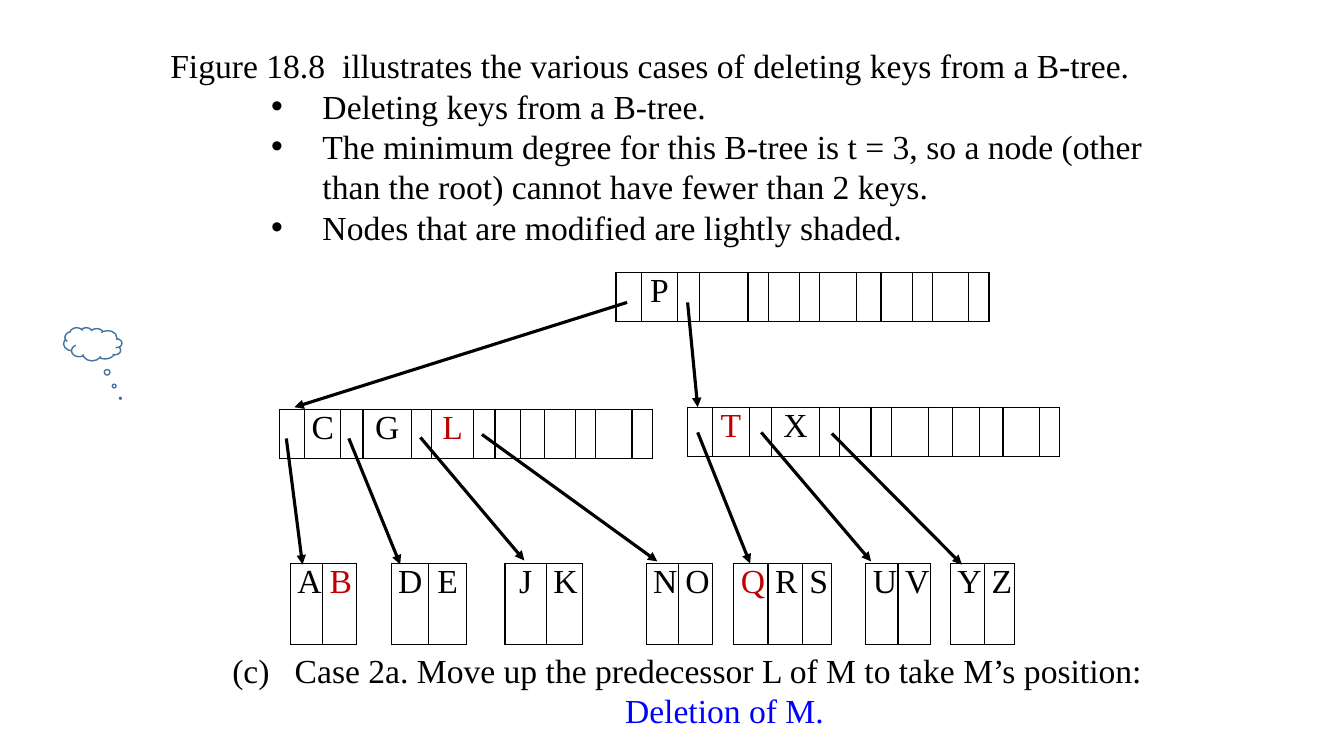
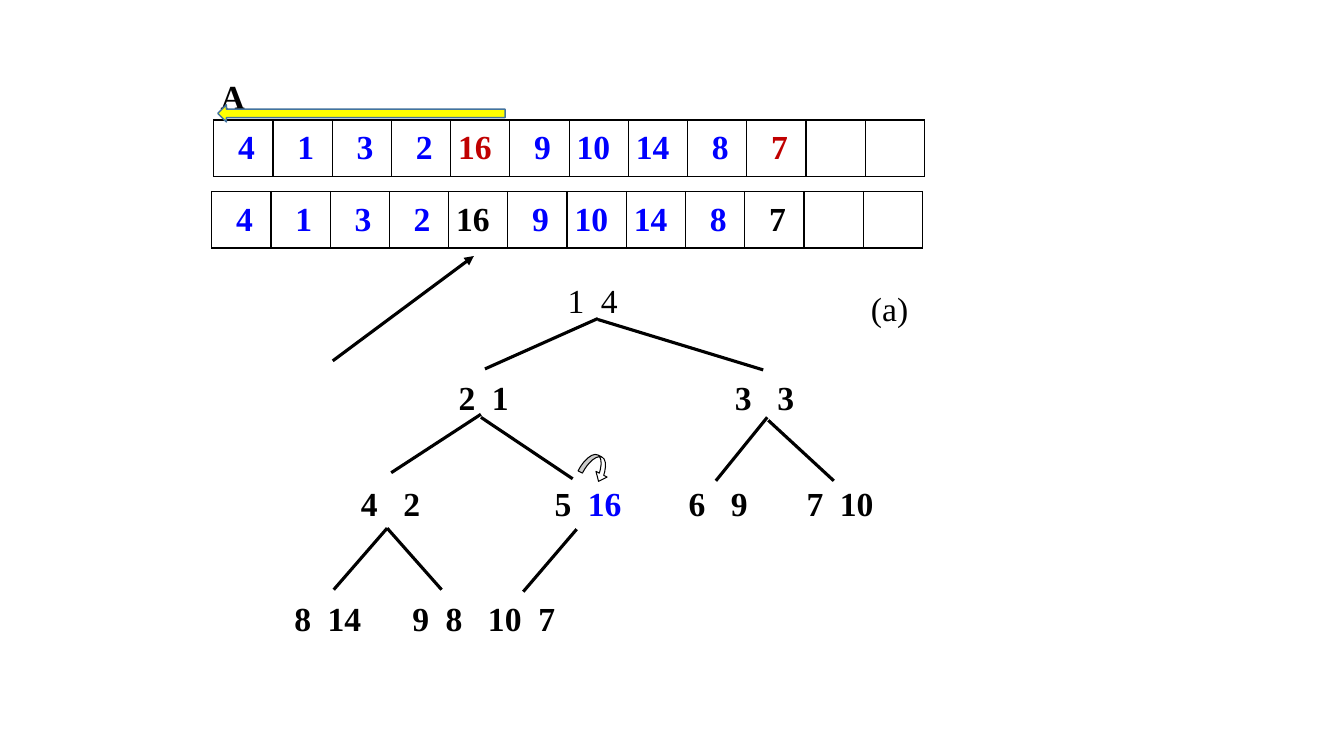
from pptx import Presentation
from pptx.dml.color import RGBColor
from pptx.enum.shapes import MSO_CONNECTOR, MSO_SHAPE
from pptx.enum.text import MSO_ANCHOR, PP_ALIGN
from pptx.oxml import parse_xml
from pptx.oxml.ns import nsdecls
from pptx.util import Inches, Pt

# The slide is a grid of square cells, 13.33 columns by 7.5 rows.
COLS, ROWS = 13.33, 7.5
FONT, SIZE = "Times New Roman", 24
BLACK, WHITE, RED, BLUE = "000000", "FFFFFF", "C00000", "0000FF"
YELLOW, OUTLINE = "FFFF00", "43739E"
LEFT, CENTER, RIGHT = PP_ALIGN.LEFT, PP_ALIGN.CENTER, PP_ALIGN.RIGHT

MODIFIED_KEYS = "LTBQ"
# Widths alternate: pointer, key, pointer, key, ...
NODE_START = [0.25, 0.36, 0.22, 0.48, 0.2]
NODES = [  # x, y, keys, remaining widths
    (2.77, 4.06, "CGL", [0.42, 0.21, 0.25, 0.24, 0.31, 0.2, 0.36, 0.2]),
    (6.11, 2.7, "P", [0.31, 0.2, 0.37, 0.24, 0.31, 0.2, 0.36, 0.2]),
    (6.82, 4.04, "TX", [0.31, 0.2, 0.37, 0.24, 0.27, 0.23, 0.36, 0.2]),
]
LEAVES = "AB DE JK  NO QRS UV YZ"  # a space is a gap between leaves
LEAF_WIDTHS = [0.32, 0.34, 0.34, 0.37, 0.38, 0.38, 0.41, 0.36, 0.4, 0.23, 0.32,
               0.34, 0.21, 0.34, 0.34, 0.29, 0.34, 0.32, 0.32, 0.2, 0.34, 0.3]
POINTERS = [
    (6.22, 3, 2.92, 4.04), (6.82, 3, 6.92, 4.04),
    (2.84, 4.35, 3, 5.6), (3.46, 4.35, 3.97, 5.6),
    (4.17, 4.34, 5.2, 5.56), (4.78, 4.31, 6.52, 5.57),
    (6.92, 4.29, 7.44, 5.59), (7.55, 4.29, 8.64, 5.57), (8.25, 4.3, 9.54, 5.6),
]

ARRAY = [4, 1, 3, 2, 16, 9, 10, 14, 8, 7]
ARRAY_CELLS, ARRAY_WIDTH = 12, 7.05
LEVELS = [2.73, 3.69, 4.74, 5.88]
HEAP = [  # x, level, gap between index and key; ordered by index
    (5.63, 0, 0.33),
    (4.55, 1, 0.33), (7.29, 1, 0.42),
    (3.58, 2, 0.42), (5.5, 2, 0.33), (6.83, 2, 0.42), (8, 2, 0.33),
    (2.92, 3, 0.33), (4.09, 3, 0.33), (4.84, 3, 0.5),
]
EDGES = [
    (5.93, 3.16, 4.81, 3.66), (5.93, 3.17, 7.57, 3.67),
    (4.77, 4.11, 3.88, 4.69), (4.77, 4.14, 5.68, 4.75),
    (7.61, 4.14, 7.1, 4.77), (7.62, 4.17, 8.27, 4.77),
    (3.84, 5.24, 3.31, 5.85), (3.84, 5.24, 4.38, 5.85), (5.72, 5.25, 5.19, 5.87),
]


def rgb(color):
    return RGBColor.from_string(color)


def grid(*values):
    return [Inches(v) for v in values]


def add_run(p, text, color=BLACK, bold=False):
    r = p.add_run()
    r.text = text
    r.font.name, r.font.size, r.font.bold = FONT, Pt(SIZE), bold
    r.font.color.rgb = rgb(color)


def add_text(s, x, y, w, h, inset=0.1):
    tf = s.shapes.add_textbox(*grid(x, y, w, h)).text_frame
    tf.word_wrap = True
    tf.margin_left = tf.margin_right = Inches(inset)
    return tf


def indent(p, left, first=0):
    """Set the left indent; a negative first line makes room for a bullet."""
    pPr = p._p.get_or_add_pPr()
    pPr.set("marL", str(Inches(left)))
    pPr.set("indent", str(Inches(first)))
    if first:
        pPr.append(parse_xml(f'<a:buFont {nsdecls("a")} typeface="Arial"/>'))
        pPr.append(parse_xml(f'<a:buChar {nsdecls("a")} char="•"/>'))


def add_line(s, x1, y1, x2, y2, arrow=False):
    line = s.shapes.add_connector(MSO_CONNECTOR.STRAIGHT, *grid(x1, y1, x2, y2))
    line.line.color.rgb = rgb(BLACK)
    line.line.width = Pt(2.25)
    if arrow:
        line.line._get_or_add_ln().append(
            parse_xml(f'<a:tailEnd {nsdecls("a")} type="triangle"/>'))
    line._element.spPr.append(parse_xml(f'<a:effectLst {nsdecls("a")}/>'))


def add_preset(s, kind, x, y, w, h, fill, line, width=1, adjust=()):
    sp = s.shapes.add_shape(kind, *grid(x, y, w, h))
    sp.shadow.inherit = False
    sp.fill.solid()
    sp.fill.fore_color.rgb = rgb(fill)
    sp.line.color.rgb = rgb(line)
    sp.line.width = Pt(width)
    for i, value in enumerate(adjust):
        sp.adjustments[i] = value
    return sp


def set_borders(cell, **colors):
    """Draw the sides L, R, T and B, black unless another colour is given."""
    tcPr = cell._tc.get_or_add_tcPr()
    for i, side in enumerate("LRTB"):
        tcPr.insert(i, parse_xml(
            f'<a:ln{side} {nsdecls("a")} w="{Pt(1)}"><a:solidFill>'
            f'<a:srgbClr val="{colors.get(side, BLACK)}"/></a:solidFill></a:ln{side}>'))


def add_row(s, x, y, widths, height, cells, align=CENTER, bold=False,
            right=0.07, anchor=MSO_ANCHOR.TOP):
    """Add a one-row table of (text, colour) cells; a text of None is a gap."""
    frame = s.shapes.add_table(1, len(widths), *grid(x, y, sum(widths), height))
    table = frame.table
    table.first_row = table.horz_banding = False
    for i, (width, (text, color)) in enumerate(zip(widths, cells)):
        table.columns[i].width = Inches(width)
        cell = table.cell(0, i)
        cell.margin_left, cell.margin_right = grid(0.07, right)
        cell.margin_top = cell.margin_bottom = 0
        cell.vertical_anchor = anchor
        cell.fill.solid()
        cell.fill.fore_color.rgb = rgb(WHITE)
        sides = {}
        if text is None:
            sides = {"T": WHITE, "B": WHITE}
            if cells[i - 1][0] is None:
                sides["L"] = WHITE
            if cells[i + 1][0] is None:
                sides["R"] = WHITE
        set_borders(cell, **sides)
        if text:
            p = cell.text_frame.paragraphs[0]
            p.alignment = align
            add_run(p, text, color, bold)


def key_cell(key):
    return (key, RED if key in MODIFIED_KEYS else BLACK)


def add_btree_node(s, x, y, keys, rest):
    widths = NODE_START + rest
    cells = [("", BLACK)] * len(widths)
    for i, key in enumerate(keys):
        cells[2 * i + 1] = key_cell(key)
    add_row(s, x, y, widths, 0.49, cells)


def add_array(s, x, y, accents):
    """Add the array row; accents gives a colour for some of the values."""
    cells = [(str(v), accents.get(v, BLUE)) for v in ARRAY]
    cells += [("", BLACK)] * (ARRAY_CELLS - len(ARRAY))
    add_row(s, x, y, [ARRAY_WIDTH / ARRAY_CELLS] * ARRAY_CELLS, 0.56, cells,
            RIGHT, True, 0.18, MSO_ANCHOR.MIDDLE)


def add_heap_node(s, x, level, gap, index, key):
    tf = add_text(s, x, LEVELS[level], 0.9, 0.5, inset=0)
    p = tf.paragraphs[0]
    p._p.get_or_add_pPr().append(parse_xml(
        f'<a:tabLst {nsdecls("a")}><a:tab pos="{Inches(gap)}" algn="l"/></a:tabLst>'))
    bold = level > 0
    add_run(p, f"{index}\t", bold=bold)
    add_run(p, str(key), BLUE if key == max(ARRAY) else BLACK, bold)


def btree_slide(prs):
    s = prs.slides.add_slide(prs.slide_layouts[6])
    tf = add_text(s, 1.59, 0.4, 10.45, 2.1)
    add_run(tf.paragraphs[0], "Figure 18.8  illustrates the various cases of "
                              "deleting keys from a B-tree.")
    for text in ("Deleting keys from a B-tree.",
                 "The minimum degree for this B-tree is t = 3, so a node "
                 "(other than the root) cannot have fewer than 2 keys.",
                 "Nodes that are modified are lightly shaded."):
        p = tf.add_paragraph()
        indent(p, 1.51, -0.51)
        add_run(p, text)

    caption = add_text(s, 1.59, 6.4, 10.45, 0.9)
    p = caption.paragraphs[0]
    p.alignment = CENTER
    add_run(p, "(c)   Case 2a. Move up the predecessor L of M to take M’s position:")
    p = caption.add_paragraph()
    p.alignment = CENTER
    indent(p, 0.74)
    add_run(p, "Deletion of M.", BLUE)

    for node in NODES:
        add_btree_node(s, *node)
    leaves = [(None, BLACK) if key == " " else key_cell(key) for key in LEAVES]
    add_row(s, 2.88, 5.59, LEAF_WIDTHS, 0.8, leaves)
    for pointer in POINTERS:
        add_line(s, *pointer, arrow=True)
    cloud = add_preset(s, MSO_SHAPE.CLOUD_CALLOUT, 0.63, 3.25, 0.58, 0.33,
                       WHITE, OUTLINE, adjust=(-0.473, 1.625))
    cloud._element.spPr.xfrm.set("flipH", "1")


def heap_slide(prs):
    s = prs.slides.add_slide(prs.slide_layouts[6])
    for edge in EDGES:
        add_line(s, *edge)
    for i, (node, key) in enumerate(zip(HEAP, ARRAY)):
        add_heap_node(s, *node, i + 1, key)
    add_run(add_text(s, 8.54, 2.81, 0.59, 0.5).paragraphs[0], "(a)")
    turn = add_preset(s, MSO_SHAPE.CURVED_LEFT_ARROW, 5.8, 4.49, 0.23, 0.29,
                      WHITE, BLACK, 0.75, (0.212, 0.538, 0.333))
    turn.rotation = 297

    add_array(s, 2.12, 1.19, {16: RED, 7: RED})
    add_run(add_text(s, 2.09, 0.7, 0.45, 0.5).paragraphs[0], "A", bold=True)
    add_array(s, 2.1, 1.9, {16: BLACK, 7: BLACK})
    add_line(s, 3.3, 3.58, 4.7, 2.54, arrow=True)
    add_preset(s, MSO_SHAPE.LEFT_ARROW, 2.16, 1.04, 2.85, 0.17, YELLOW, OUTLINE)


def main():
    prs = Presentation()
    prs.slide_width, prs.slide_height = grid(COLS, ROWS)
    btree_slide(prs)
    heap_slide(prs)
    prs.save("out.pptx")


if __name__ == "__main__":
    main()
